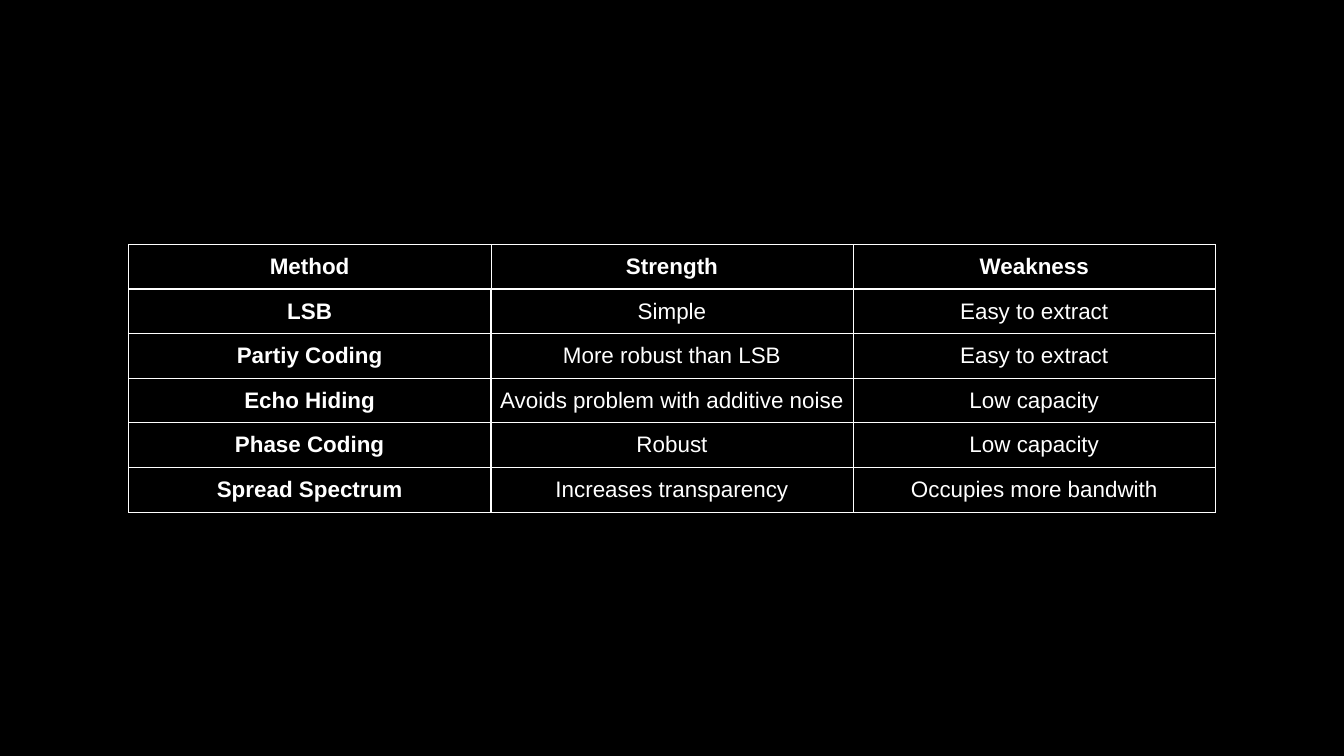
from lxml import etree
from pptx import Presentation
from pptx.dml.color import RGBColor
from pptx.enum import text
from pptx.oxml import ns
from pptx.util import Inches, Pt

BLACK = RGBColor(0x00, 0x00, 0x00)
WHITE = RGBColor(0xFF, 0xFF, 0xFF)
THIN, THICK = 1, 3
CELL_FORMAT = {
    "margin_left": Inches(0.06),
    "margin_right": Inches(0.06),
    "margin_top": Inches(0.06),
    "margin_bottom": Inches(0.06),
    "vertical_anchor": text.MSO_ANCHOR.MIDDLE,
}
FONT_FORMAT = {"name": "Arial", "size": Pt(32)}
METHODS = [
    ("Method", "Strength", "Weakness"),
    ("LSB", "Simple", "Easy to extract"),
    ("Partiy Coding", "More robust than LSB", "Easy to extract"),
    ("Echo Hiding", "Avoids problem with additive noise", "Low capacity"),
    ("Phase Coding", "Robust", "Low capacity"),
    ("Spread Spectrum", "Increases transparency", "Occupies more bandwith"),
]


def apply_format(target, values):
    """Set each named attribute of the target."""
    for name, value in values.items():
        setattr(target, name, value)


def add_borders(cell, widths):
    """Draw white borders of the given point widths, keyed by side."""
    properties = cell._tc.get_or_add_tcPr()
    for side in "LRTB":
        if side in widths:
            line = etree.SubElement(properties, ns.qn(f"a:ln{side}"), w=str(Pt(widths[side])))
            fill = etree.SubElement(line, ns.qn("a:solidFill"))
            etree.SubElement(fill, ns.qn("a:srgbClr"), val=str(WHITE))


def border_widths(row, column):
    """Give the header a thick base and the method column a thick right side."""
    if row == 0:
        return {"L": THIN, "R": THIN, "T": THIN, "B": THICK}
    if column == 0:
        return {"L": THIN, "R": THICK, "T": THIN, "B": THIN}
    return {"R": THIN, "B": THIN}


def fill_cell(cell, words, bold, widths):
    """Write and format one cell."""
    apply_format(cell, CELL_FORMAT)
    add_borders(cell, widths)
    cell.fill.background()
    para = cell.text_frame.paragraphs[0]
    para.alignment = text.PP_ALIGN.CENTER
    span = para.add_run()
    span.text = words
    apply_format(span.font, {**FONT_FORMAT, "bold": bold})
    span.font.color.rgb = WHITE


def add_method_table(page, left, top, width, height):
    """Place the comparison of methods in the given box."""
    frame = page.shapes.add_table(len(METHODS), len(METHODS[0]), left, top, width, height)
    table = frame.table
    apply_format(table, {"first_row": False, "horz_banding": False})
    for row, entries in enumerate(METHODS):
        for column, words in enumerate(entries):
            bold = row == 0 or column == 0
            fill_cell(table.cell(row, column), words, bold, border_widths(row, column))


def main():
    """Build and save the slide."""
    deck = Presentation()
    apply_format(deck, {"slide_width": Inches(26.67), "slide_height": Inches(15)})
    page = deck.slides.add_slide(deck.slide_layouts[6])
    page.background.fill.solid()
    page.background.fill.fore_color.rgb = BLACK
    add_method_table(page, Inches(2.55), Inches(4.85), Inches(21.57), Inches(5.31))
    deck.save("out.pptx")


if __name__ == "__main__":
    main()
